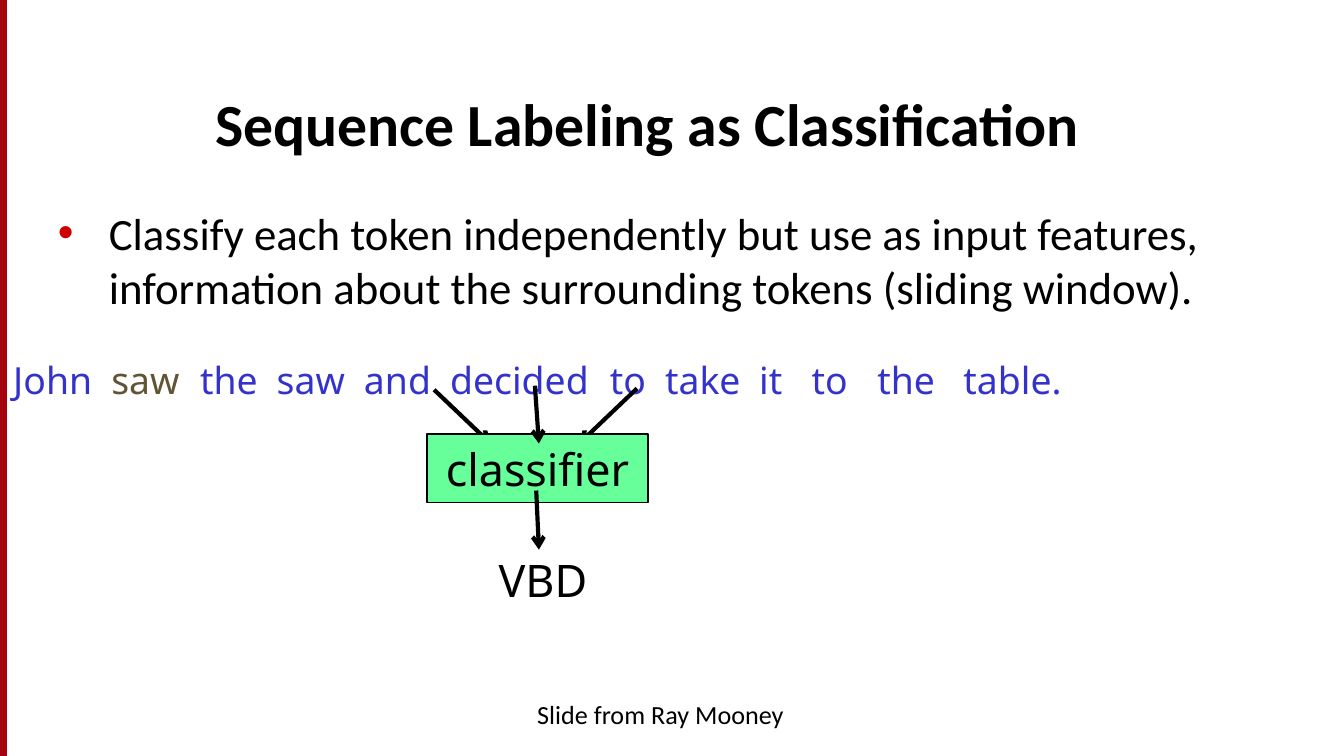
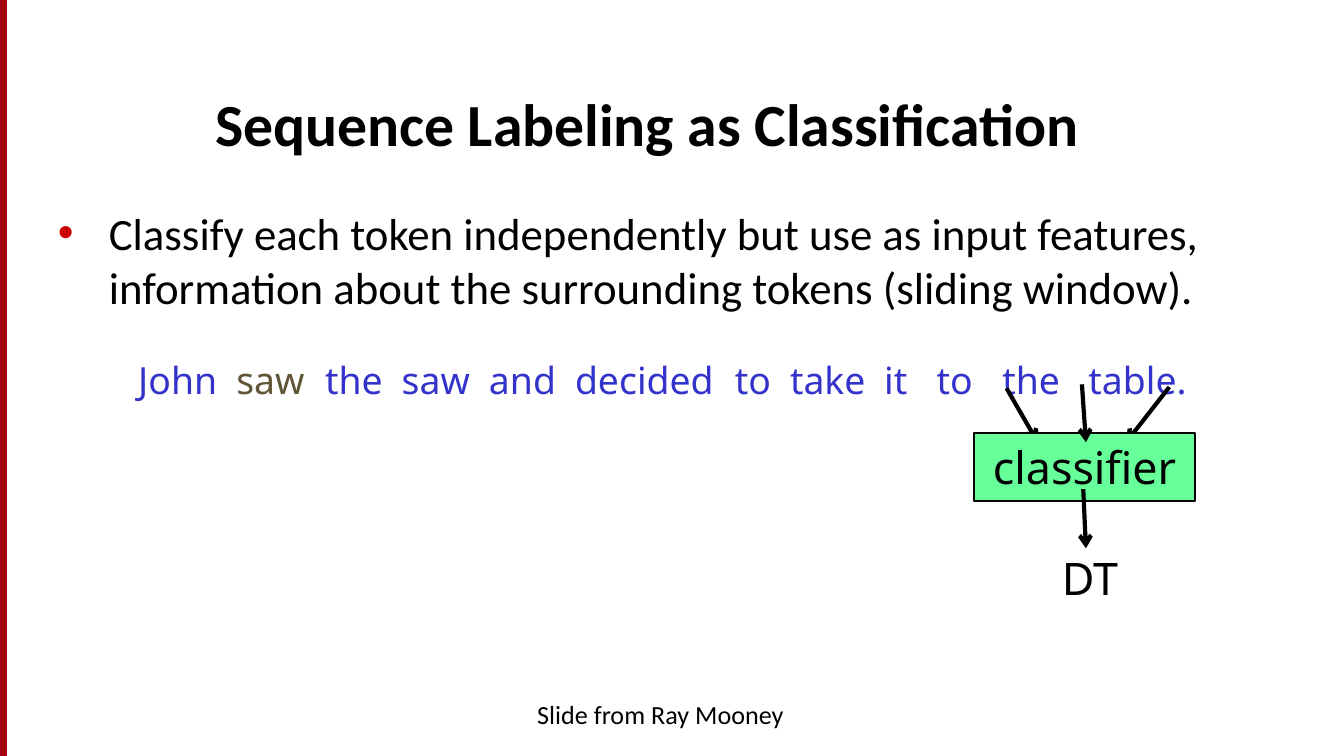
from dataclasses import dataclass

from lxml.etree import SubElement
from pptx import Presentation
from pptx.dml.color import RGBColor
from pptx.enum.shapes import MSO_CONNECTOR, MSO_SHAPE
from pptx.enum.text import MSO_ANCHOR, MSO_AUTO_SIZE, PP_ALIGN
from pptx.oxml.ns import qn
from pptx.presentation import Presentation as Deck
from pptx.shapes.autoshape import Shape
from pptx.slide import Slide
from pptx.text.text import TextFrame
from pptx.util import Emu, Pt

PX = 9144  # 100 px to the inch
WIDE = 1000

SERIF, SANS = "Calibri", "Noto Sans"
BLACK, WHITE = "000000", "FFFFFF"
RED, EDGE, DOT = "A40508", "A4001D", "CC0000"
BLUE, BROWN, GREEN = "3333CC", "605435", "66FF99"

TITLE = "Sequence Labeling as Classification"
POINT = ("Classify each token independently but use as input features, "
         "information about the surrounding tokens (sliding window).")
CREDIT = "Slide from Ray Mooney"
TOKENS = (("John\t", BLUE), ("saw", BROWN),
          ("\tthe\tsaw\tand\tdecided\tto\ttake\tit\tto\tthe\ttable.", BLUE))
STOPS = (73, 139, 196, 261, 325, 444, 485, 555, 594, 643, 707)


@dataclass(frozen=True)
class Box:
    left: int
    top: int
    width: int
    height: int

    def emu(self) -> tuple[Emu, ...]:
        return tuple(px(n) for n in (self.left, self.top, self.width, self.height))


@dataclass(frozen=True)
class Arrow:
    """Ends measured from the top left corner of the classifier box."""
    x1: int
    y1: int
    x2: int
    y2: int


@dataclass(frozen=True)
class Step:
    """One position of the sliding window."""
    line: int   # left of the sentence
    left: int   # corner of the classifier box
    top: int
    prev: int   # start of the arrow from the previous token
    next: int   # start of the arrow from the next token
    tag: str
    width: int  # of the tag


STEPS = (
    Step(0, 318, 323, 5, 156, "VBD", 86),
    Step(93, 725, 322, 24, 145, "DT", 66),
)


def px(n: int) -> Emu:
    return Emu(n * PX)


def rgb(code: str) -> RGBColor:
    return RGBColor.from_string(code)


def style(frame: TextFrame, size: int, face: str, bold: bool = False,
          align: PP_ALIGN = PP_ALIGN.LEFT, color: str = BLACK) -> None:
    for para in frame.paragraphs:
        para.alignment = align
        para.space_before = Pt(0)
        for run in para.runs:
            font = run.font
            font.size, font.name, font.bold = Pt(size), face, bold
            font.color.rgb = rgb(color)


def place(shape: Shape, box: Box) -> None:
    shape.left, shape.top, shape.width, shape.height = box.emu()


def rect(slide: Slide, box: Box, fill: str, edge: str, width: float) -> Shape:
    shape = slide.shapes.add_shape(MSO_SHAPE.RECTANGLE, *box.emu())
    shape.shadow.inherit = False
    shape.fill.solid()
    shape.fill.fore_color.rgb = rgb(fill)
    shape.line.color.rgb = rgb(edge)
    shape.line.width = Pt(width)
    return shape


def note(slide: Slide, box: Box, text: str, size: int, face: str,
         wrap: bool) -> None:
    """Add centred free text."""
    frame = slide.shapes.add_textbox(*box.emu()).text_frame
    frame.word_wrap = wrap
    frame.text = text
    style(frame, size, face, align=PP_ALIGN.CENTER)


def draw(slide: Slide, step: Step, arrow: Arrow) -> None:
    line = slide.shapes.add_connector(
        MSO_CONNECTOR.STRAIGHT,
        px(step.left + arrow.x1), px(step.top + arrow.y1),
        px(step.left + arrow.x2), px(step.top + arrow.y2))
    line.line.color.rgb = rgb(BLACK)
    line.line.width = Pt(2.25)
    props = line.element.spPr
    SubElement(props.find(qn("a:ln")), qn("a:tailEnd"), type="arrow")
    SubElement(props, qn("a:effectLst"))


def head(slide: Slide) -> None:
    """Fill the title placeholder."""
    title = slide.shapes.title
    place(title, Box(150, 42, 817, 81))
    frame = title.text_frame
    frame.text = TITLE
    frame.auto_size = MSO_AUTO_SIZE.NONE
    frame.vertical_anchor = MSO_ANCHOR.BOTTOM
    style(frame, 32, SERIF, bold=True)


def body(slide: Slide) -> None:
    """Fill the list placeholder."""
    shape = slide.placeholders[1]
    place(shape, Box(33, 148, 933, 365))
    frame = shape.text_frame
    frame.text = POINT
    frame.auto_size = MSO_AUTO_SIZE.NONE
    props = frame.paragraphs[0]._p.get_or_add_pPr()
    props.set("marL", str(px(38)))
    props.set("indent", str(px(-38)))
    tint = SubElement(props, qn("a:buClr"))
    SubElement(tint, qn("a:srgbClr"), val=DOT)
    SubElement(props, qn("a:buFont"), typeface="Arial")
    SubElement(props, qn("a:buChar"), char="•")
    style(frame, 24, SERIF)


def sentence(slide: Slide, left: int) -> None:
    box = Box(left, 261, 861, 44)
    frame = slide.shapes.add_textbox(*box.emu()).text_frame
    frame.word_wrap = True
    para = frame.paragraphs[0]
    tabs = SubElement(para._p.get_or_add_pPr(), qn("a:tabLst"))
    for stop in STOPS:
        SubElement(tabs, qn("a:tab"), pos=str(px(stop)), algn="l")
    for text, color in TOKENS:
        run = para.add_run()
        run.text = text
        run.font.size, run.font.name = Pt(20), SANS
        run.font.color.rgb = rgb(color)


def window(slide: Slide, step: Step) -> None:
    """Draw the classifier with its inputs and its tag."""
    draw(slide, step, Arrow(step.prev, -33, 47, 7))
    draw(slide, step, Arrow(step.next, -34, 113, 7))
    shape = rect(slide, Box(step.left, step.top, 164, 51), GREEN, BLACK, 1)
    frame = shape.text_frame
    frame.text = "classifier"
    frame.word_wrap = False
    frame.vertical_anchor = MSO_ANCHOR.MIDDLE
    style(frame, 24, SANS, align=PP_ALIGN.CENTER)
    draw(slide, step, Arrow(80, -36, 83, 7))
    draw(slide, step, Arrow(81, 42, 83, 86))
    box = Box(step.left + 86 - step.width // 2, step.top + 83, step.width, 51)
    note(slide, box, step.tag, 24, SANS, wrap=False)


def band(deck: Deck, slide: Slide) -> None:
    """Put the red side band on the master, behind everything."""
    master = deck.slide_master
    master.background.fill.solid()
    master.background.fill.fore_color.rgb = rgb(WHITE)
    shape = rect(slide, Box(0, 0, 5, 0), RED, EDGE, 0.75)
    shape.height = deck.slide_height
    bar = shape.element
    bar.nvSpPr.cNvPr.set("id", "20")
    master.element.cSld.spTree.insert(2, bar)


def main() -> None:
    deck = Presentation()
    deck.slide_width = px(WIDE)
    deck.slide_height = Emu(deck.slide_width * 9 // 16)
    for step in STEPS:
        slide = deck.slides.add_slide(deck.slide_layouts[1])
        head(slide)
        body(slide)
        note(slide, Box(333, 515, 317, 38), CREDIT, 14, SERIF, wrap=True)
        sentence(slide, step.line)
        window(slide, step)
    band(deck, deck.slides[0])
    deck.save("out.pptx")


if __name__ == "__main__":
    main()
